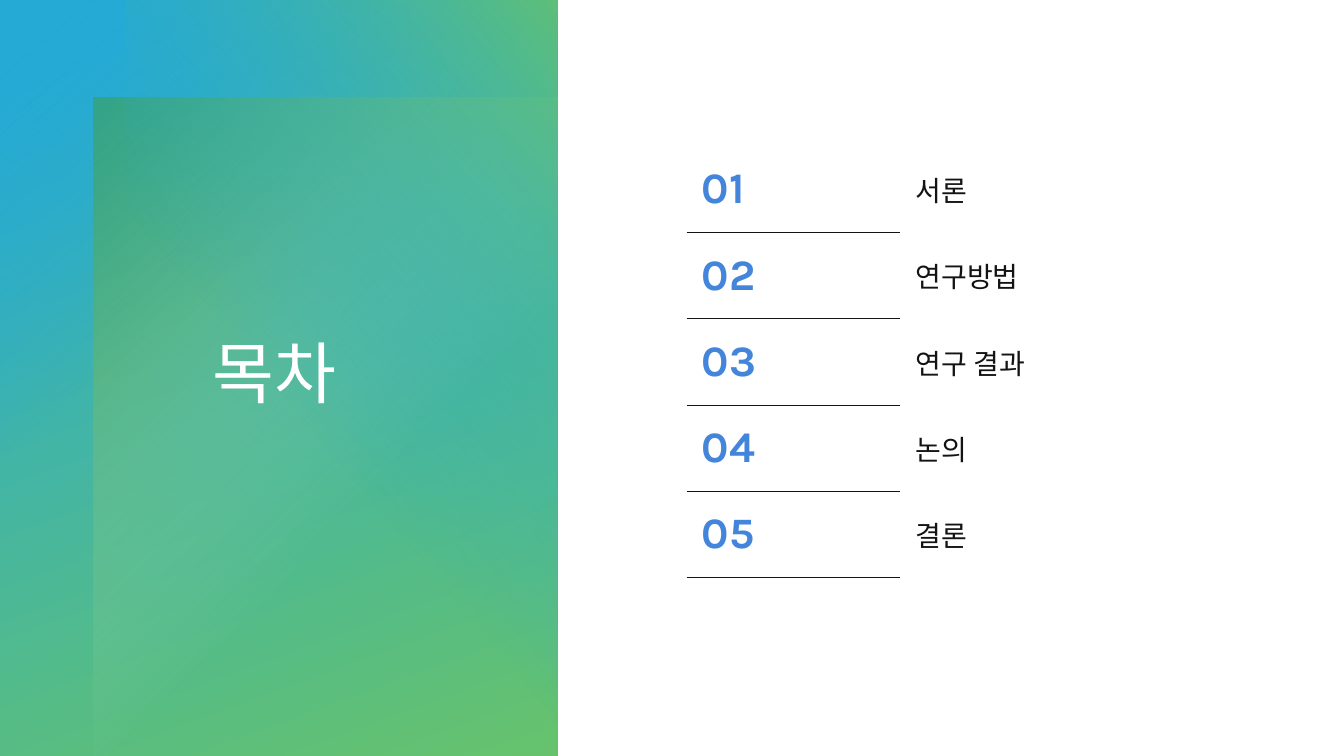
from dataclasses import dataclass
from typing import Optional

import lxml.etree
import pptx
import pptx.dml.color
import pptx.enum.shapes
import pptx.enum.text
import pptx.oxml
import pptx.oxml.ns
import pptx.util

Inches = pptx.util.Inches
qn = pptx.oxml.ns.qn


@dataclass(frozen=True)
class Theme:
    font: str = "Karla"
    blue: str = "25AAD5"
    green: str = "66C26C"
    dark_green: str = "3F9F46"
    pale_green: str = "A3DAA7"
    number: str = "4485DC"
    ink: str = "131313"
    white: str = "FFFFFF"
    title_size: float = 48
    number_size: float = 31
    topic_size: float = 20
    rule_width: float = 0.5


THEME = Theme()


@dataclass(frozen=True)
class Stop:
    position: int
    color: str
    opacity: int = 100


@dataclass(frozen=True)
class Panel:
    left: float
    top: float
    width: float
    height: float
    stops: tuple[Stop, ...]
    angle: Optional[int] = None  # None: radial from the top left corner
    rotation: int = 0


PANELS = (
    Panel(0, 0, 5.53, 7.51, (Stop(7, THEME.blue), Stop(100, THEME.green)), 70),
    Panel(0.93, 0.97, 4.6, 6.54,
          (Stop(0, THEME.dark_green), Stop(60, THEME.pale_green, 0))),
    Panel(0, 0, 4.07, 7.51,
          (Stop(3, THEME.blue, 70), Stop(42, THEME.blue, 0)), 50),
    Panel(-0.37, 1.61, 7.51, 4.28,
          (Stop(0, THEME.green, 86), Stop(57, THEME.blue, 0)), 230, 270),
)
TOPICS = ("서론", "연구방법", "연구 결과", "논의", "결론")
COLUMN_WIDTHS = (2.12, 3.91)
TABLE_HEIGHT = 4.28
CELL_MARGIN = 0.15
NO_STYLE = "{2D5ABB26-0587-4C30-8999-92F81FD0307C}"


def add_child(parent, tag: str, **attributes):
    child = lxml.etree.SubElement(parent, qn(tag))
    for name, value in attributes.items():
        child.set(name, str(value))
    return child


def add_panel(page, panel: Panel) -> None:
    box = page.shapes.add_shape(
        pptx.enum.shapes.MSO_SHAPE.RECTANGLE, Inches(panel.left),
        Inches(panel.top), Inches(panel.width), Inches(panel.height))
    box.shadow.inherit = False
    box.line.fill.background()
    box.rotation = panel.rotation

    gradient = pptx.oxml.parse_xml(
        f'<a:gradFill {pptx.oxml.ns.nsdecls("a")} rotWithShape="1"/>')
    stop_list = add_child(gradient, "a:gsLst")
    for stop in panel.stops:
        entry = add_child(stop_list, "a:gs", pos=stop.position * 1000)
        color = add_child(entry, "a:srgbClr", val=stop.color)
        if stop.opacity < 100:
            add_child(color, "a:alpha", val=stop.opacity * 1000)
    if panel.angle is None:
        radial = add_child(gradient, "a:path", path="circle")
        add_child(radial, "a:fillToRect", r=100000, b=100000)
    else:
        add_child(gradient, "a:lin", ang=panel.angle * 60000, scaled=0)
    box.element.spPr.find(qn("a:prstGeom")).addnext(gradient)


def add_span(para, text: str, size: float, color: str, bold: bool = False) -> None:
    span = para.add_run()
    span.text = text
    span.font.name = THEME.font
    span.font.size = pptx.util.Pt(size)
    span.font.bold = bold
    span.font.color.rgb = pptx.dml.color.RGBColor.from_string(color)


def add_title(page, text: str) -> None:
    title = page.shapes.title
    title.left, title.top = Inches(0.72), Inches(2.3)
    title.width, title.height = Inches(4.01), Inches(2.87)
    title.text_frame.word_wrap = True
    title.text_frame.vertical_anchor = pptx.enum.text.MSO_ANCHOR.MIDDLE
    para = title.text_frame.paragraphs[0]
    para.alignment = pptx.enum.text.PP_ALIGN.CENTER
    para.line_spacing = 0.9
    add_span(para, text, THEME.title_size, THEME.white)
    # Bring the title in front of the panels
    title.element.getparent().append(title.element)


def add_rule(cell, side: str) -> None:
    properties = cell._tc.get_or_add_tcPr()
    rule = add_child(properties, side, w=pptx.util.Pt(THEME.rule_width))
    add_child(add_child(rule, "a:solidFill"), "a:srgbClr", val=THEME.ink)


def fill_cell(cell, text: str, size: float, color: str, bold: bool) -> None:
    cell.margin_left = cell.margin_right = Inches(CELL_MARGIN)
    cell.margin_top = cell.margin_bottom = Inches(CELL_MARGIN)
    cell.vertical_anchor = pptx.enum.text.MSO_ANCHOR.MIDDLE
    add_span(cell.text_frame.paragraphs[0], text, size, color, bold)


def add_contents(page) -> None:
    frame = page.shapes.add_table(
        len(TOPICS), len(COLUMN_WIDTHS), Inches(6.81), Inches(1.45),
        Inches(sum(COLUMN_WIDTHS)), Inches(TABLE_HEIGHT))
    table = frame.table
    table.first_row = table.horz_banding = False
    table._tbl.tblPr.find(qn("a:tableStyleId")).text = NO_STYLE
    for column, width in zip(table.columns, COLUMN_WIDTHS):
        column.width = Inches(width)
    for index, topic in enumerate(TOPICS):
        table.rows[index].height = Inches(TABLE_HEIGHT / len(TOPICS))
        number_cell, topic_cell = table.cell(index, 0), table.cell(index, 1)
        fill_cell(number_cell, f"{index + 1:02}", THEME.number_size,
                  THEME.number, True)
        fill_cell(topic_cell, topic, THEME.topic_size, THEME.ink, False)
        if index:
            add_rule(number_cell, "a:lnT")
        add_rule(number_cell, "a:lnB")
        number_cell.fill.background()
        topic_cell.fill.background()


def main() -> None:
    deck = pptx.Presentation()
    deck.slide_width, deck.slide_height = Inches(13.33), Inches(7.5)
    page = deck.slides.add_slide(deck.slide_layouts.get_by_name("Title Only"))

    # Gradient backdrop
    for panel in PANELS:
        add_panel(page, panel)

    # Title and table of contents
    add_title(page, "목차")
    add_contents(page)
    deck.save("out.pptx")


if __name__ == "__main__":
    main()
